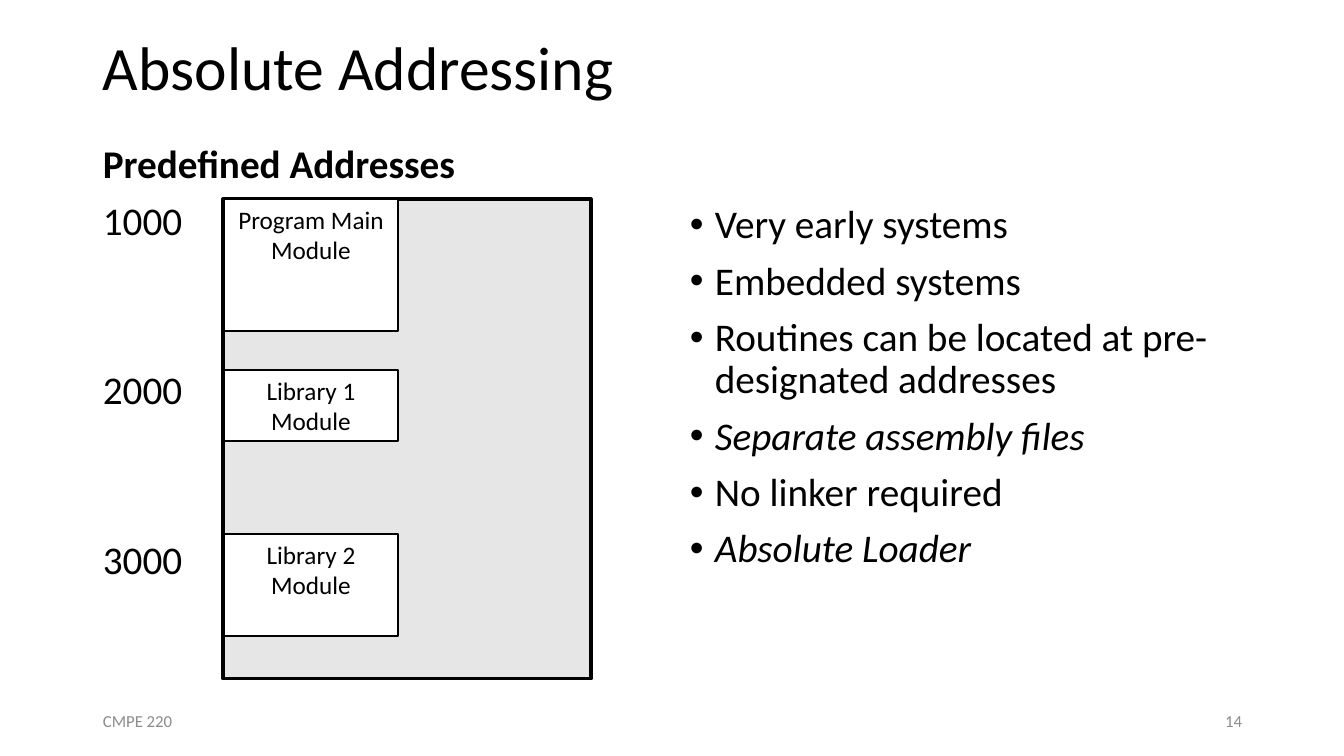
from lxml.etree import SubElement
from pptx import Presentation
from pptx.dml.color import RGBColor
from pptx.enum.shapes import MSO_SHAPE
from pptx.enum.text import MSO_ANCHOR, PP_ALIGN
from pptx.oxml.ns import qn
from pptx.util import Pt

FONT = "Calibri"
BLACK = RGBColor(0, 0, 0)
WHITE = RGBColor(255, 255, 255)
GREY = RGBColor(0x8C, 0x8C, 0x8C)
PALE = RGBColor(0xE7, 0xE6, 0xE6)

TITLE = "Absolute Addressing"
HEAD = "Predefined Addresses"
ADDRESSES = ["1000", "2000", "3000"]
# text, italic
POINTS = [
    ("Very early systems", False),
    ("Embedded systems", False),
    ("Routines can be located at pre-designated addresses", False),
    ("Separate assembly files", True),
    ("No linker required", False),
    ("Absolute Loader", True),
]
# text, top, height
MODULES = [
    ("Program Main Module", 199, 132),
    ("Library 1 Module", 370, 71),
    ("Library 2 Module", 534, 102),
]
# text, left, alignment
FOOTS = [("CMPE 220", 93, PP_ALIGN.LEFT), ("14", 950, PP_ALIGN.RIGHT)]

WIDE, HIGH = 1344, 756
LEFT = 93
GAP = 10     # points above a body line
STEP = 91    # points above each later address

prs = Presentation()
SCALE = 914400 / 100.8


def px(*nums):
    return [round(n * SCALE) for n in nums]


prs.slide_width, prs.slide_height = px(WIDE, HIGH)
slide = prs.slides.add_slide(prs.slide_layouts[6])


def write(shape, lines, size, color=BLACK, anchor=MSO_ANCHOR.TOP,
          align=PP_ALIGN.LEFT):
    """Fill a shape with lines of one style and return its paragraphs."""
    frame = shape.text_frame
    frame.text = "\n".join(lines)
    frame.word_wrap = True
    frame.vertical_anchor = anchor
    for para in frame.paragraphs:
        para.alignment = align
        font = para.runs[0].font
        font.name, font.size = FONT, Pt(size)
        font.color.rgb = color
    return frame.paragraphs


def add_text(box, lines, size, **style):
    return write(slide.shapes.add_textbox(*px(*box)), lines, size, **style)


def add_rect(box, fill, line):
    rect = slide.shapes.add_shape(MSO_SHAPE.RECTANGLE, *px(*box))
    rect.shadow.inherit = False
    rect.fill.solid()
    rect.fill.fore_color.rgb = fill
    rect.line.color.rgb = BLACK
    rect.line.width = Pt(line)
    return rect


def space(para, before):
    para.line_spacing = 0.9
    para.space_before = Pt(before)


def add_bullet(para):
    props = para._p.get_or_add_pPr()
    indent, = px(25)
    props.set("marL", str(indent))
    props.set("indent", str(-indent))
    SubElement(props, qn("a:buFont")).set("typeface", "Arial")
    SubElement(props, qn("a:buChar")).set("char", "•")


title = add_text((LEFT, 1, 1159, 139), [TITLE], 44, anchor=MSO_ANCHOR.MIDDLE)
space(title[0], 0)

points = add_text((680, 200, 572, 480), [text for text, _ in POINTS], 28)
for para, (_, slant) in zip(points, POINTS):
    space(para, GAP)
    add_bullet(para)
    para.runs[0].font.italic = slant

for text, left, align in FOOTS:
    add_text((left, 701, 302, 40), [text], 12, color=GREY,
             anchor=MSO_ANCHOR.MIDDLE, align=align)

labels = add_text((LEFT, 140, 789, 538), [HEAD] + ADDRESSES, 28)
for para, before in zip(labels, [GAP, GAP, STEP, STEP]):
    space(para, before)
labels[0].runs[0].font.bold = True

add_rect((223, 199, 368, 480), PALE, 2.25)
for text, top, high in MODULES:
    block = add_rect((224, top, 174, high), WHITE, 1.5)
    write(block, [text], 18, align=PP_ALIGN.CENTER)

prs.save("out.pptx")
